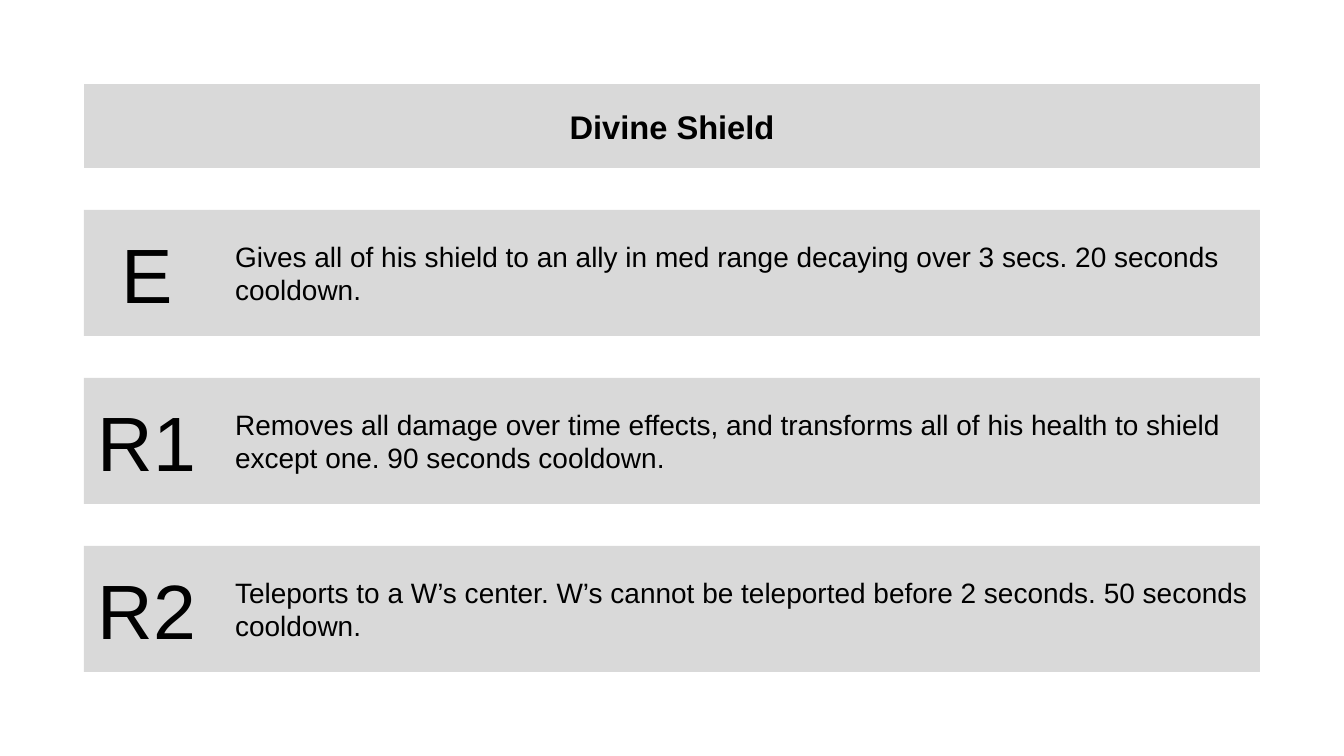
from pptx import Presentation
from pptx.dml.color import RGBColor
from pptx.enum.shapes import MSO_SHAPE
from pptx.enum.text import MSO_ANCHOR, MSO_AUTO_SIZE, PP_ALIGN
from pptx.util import Inches, Pt

RECTANGLE = MSO_SHAPE.RECTANGLE
MIDDLE = MSO_ANCHOR.MIDDLE
NO_AUTOFIT = MSO_AUTO_SIZE.NONE
LEFT, CENTER = PP_ALIGN.LEFT, PP_ALIGN.CENTER

COLORS = {"panel": "D9D9D9", "text": "000000"}
FONT = "Arial"

MARGIN = 1
ROW_TOP, ROW_HEIGHT, ROW_GAP = 2.5, 1.5, 0.5
KEY_WIDTH, TEXT_WIDTH = 1.5, 12.5

ABILITIES = [
    ("E", "Gives all of his shield to an ally in med range decaying over 3 secs. "
          "20 seconds cooldown."),
    ("R1", "Removes all damage over time effects, and transforms all of his health "
           "to shield except one. 90 seconds cooldown."),
    ("R2", "Teleports to a W’s center. W’s cannot be teleported before 2 seconds. "
           "50 seconds cooldown."),
]


def format_panel(panel, text, size, align, bold=False):
    """Fill a panel and write one formatted paragraph in it."""
    panel.fill.solid()
    panel.fill.fore_color.rgb = RGBColor.from_string(COLORS["panel"])
    panel.line.fill.background()
    frame = panel.text_frame
    frame.text = text
    frame.word_wrap = True
    frame.auto_size = NO_AUTOFIT
    frame.vertical_anchor = MIDDLE
    para = frame.paragraphs[0]
    para.alignment = align
    font = para.runs[0].font
    font.name, font.size, font.bold = FONT, Pt(size), bold
    font.color.rgb = RGBColor.from_string(COLORS["text"])


def add_panel(left, top, width, text, size, align):
    """Add a row-high rectangle with text."""
    panel = page.shapes.add_shape(RECTANGLE, Inches(left), Inches(top),
                                  Inches(width), Inches(ROW_HEIGHT))
    panel.shadow.inherit = False
    format_panel(panel, text, size, align)
    return panel


deck = Presentation()
deck.slide_width, deck.slide_height = Inches(16), Inches(9)
page = deck.slides.add_slide(deck.slide_layouts[5])

# Title bar
title = page.shapes.title
title.left, title.top = Inches(MARGIN), Inches(MARGIN)
title.width, title.height = Inches(KEY_WIDTH + TEXT_WIDTH), Inches(1)
format_panel(title, "Divine Shield", 28, CENTER, bold=True)

# Ability rows: key on the left, description on the right
for index, (key, description) in enumerate(ABILITIES):
    top = ROW_TOP + index * (ROW_HEIGHT + ROW_GAP)
    details = add_panel(MARGIN + KEY_WIDTH, top, TEXT_WIDTH, description, 24, LEFT)
    properties = details.text_frame.paragraphs[0]._p.get_or_add_pPr()
    properties.set("marL", str(Inches(0.2)))
    add_panel(MARGIN, top, KEY_WIDTH, key, 66, CENTER)

deck.save("out.pptx")
